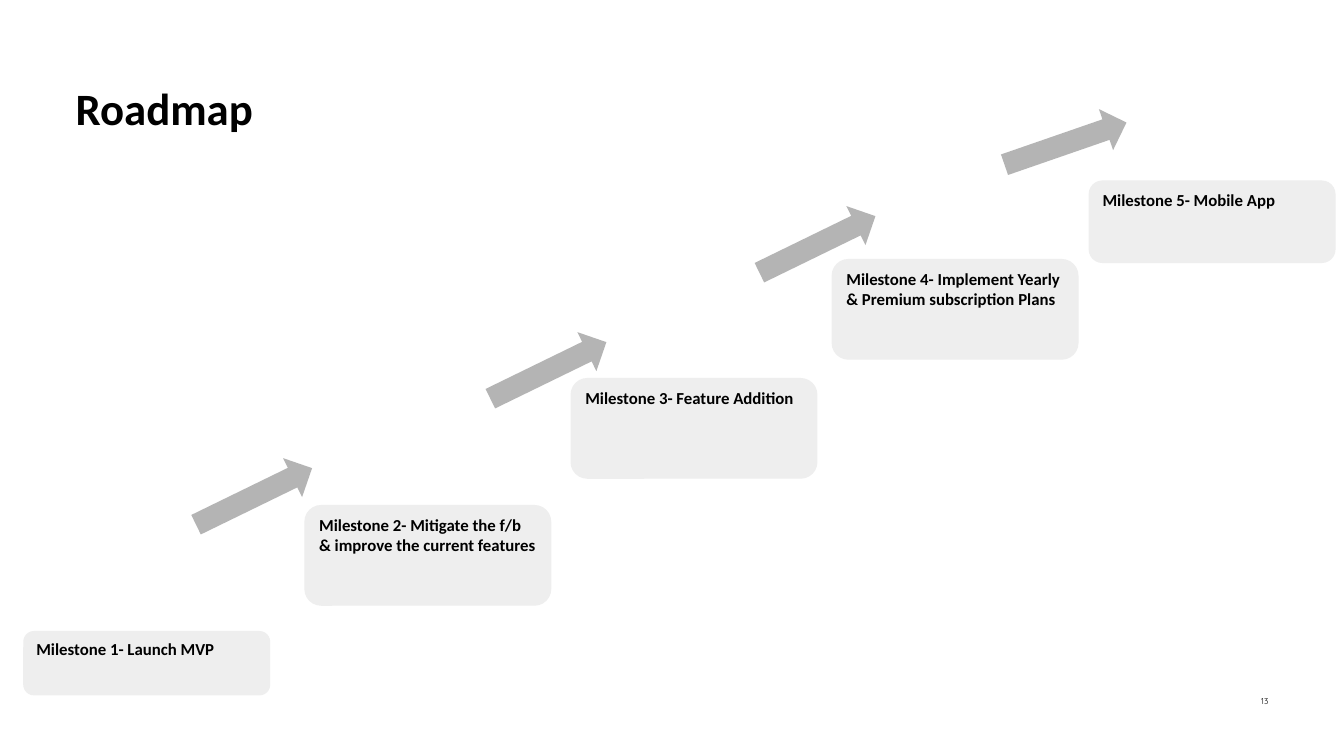
"""Build the roadmap slide: five rising milestones joined by arrows."""
from pptx import Presentation
from pptx.dml.color import RGBColor
from pptx.enum.shapes import MSO_SHAPE as Preset
from pptx.enum.text import MSO_ANCHOR as Anchor, PP_ALIGN as Align
from pptx.util import Pt

TITLE = "Roadmap"
PAGE_NUMBER = "13"
MILESTONES = [
    ("Milestone 1- Launch MVP", 16.6, 450.7, 46),
    ("Milestone 2- Mitigate the f/b & improve the current features", 217.4, 360.7, 72),
    ("Milestone 3- Feature Addition", 407.5, 270, 72),
    ("Milestone 4- Implement Yearly & Premium subscription Plans", 594, 185, 72),
    ("Milestone 5- Mobile App", 777.6, 128.9, 59),
]
ARROWS = [
    (135.4, 339.1, 334),
    (345.6, 249.1, 334),
    (537.8, 159.1, 334),
    (715, 87.1, 340.9),
]
CARD_WIDTH = 176.4
ARROW_SIZE = (92.2, 31)
COLORS = {"text": "000000", "card": "EEEEEE", "arrow": "B4B4B4"}


def write(shape, text, size, font="Calibri", bold=True, align=Align.LEFT):
    frame = shape.text_frame
    frame.text = text
    frame.word_wrap = True
    frame.vertical_anchor = Anchor.TOP
    paragraph = frame.paragraphs[0]
    paragraph.alignment = align
    for run in paragraph.runs:
        run.font.name = font
        run.font.size = Pt(size)
        run.font.bold = bold
        run.font.color.rgb = RGBColor.from_string(COLORS["text"])
    return paragraph


def clear_margins(frame):
    frame.margin_left = frame.margin_right = 0
    frame.margin_top = frame.margin_bottom = 0


def add_block(slide, preset, box, color):
    shape = slide.shapes.add_shape(preset, *map(Pt, box))
    shape.shadow.inherit = False
    shape.fill.solid()
    shape.fill.fore_color.rgb = RGBColor.from_string(COLORS[color])
    shape.line.fill.background()
    return shape


def main():
    presentation = Presentation()
    presentation.slide_width, presentation.slide_height = Pt(960), Pt(540)
    slide = presentation.slides.add_slide(presentation.slide_layouts[5])

    title = slide.shapes.title
    title.left, title.top, title.width, title.height = map(Pt, (54, 54, 852, 59))
    clear_margins(title.text_frame)
    write(title, TITLE, 32).line_spacing = 1.1

    number = slide.shapes.add_textbox(*map(Pt, (884, 497, 22, 7.2)))
    clear_margins(number.text_frame)
    write(number, PAGE_NUMBER, 6, "Quicksand", False, Align.RIGHT)

    for text, left, top, height in MILESTONES:
        box = (left, top, CARD_WIDTH, height)
        write(add_block(slide, Preset.ROUNDED_RECTANGLE, box, "card"), text, 12)

    for left, top, angle in ARROWS:
        arrow = add_block(slide, Preset.RIGHT_ARROW, (left, top, *ARROW_SIZE), "arrow")
        arrow.rotation = angle

    presentation.save("out.pptx")


if __name__ == "__main__":
    main()
